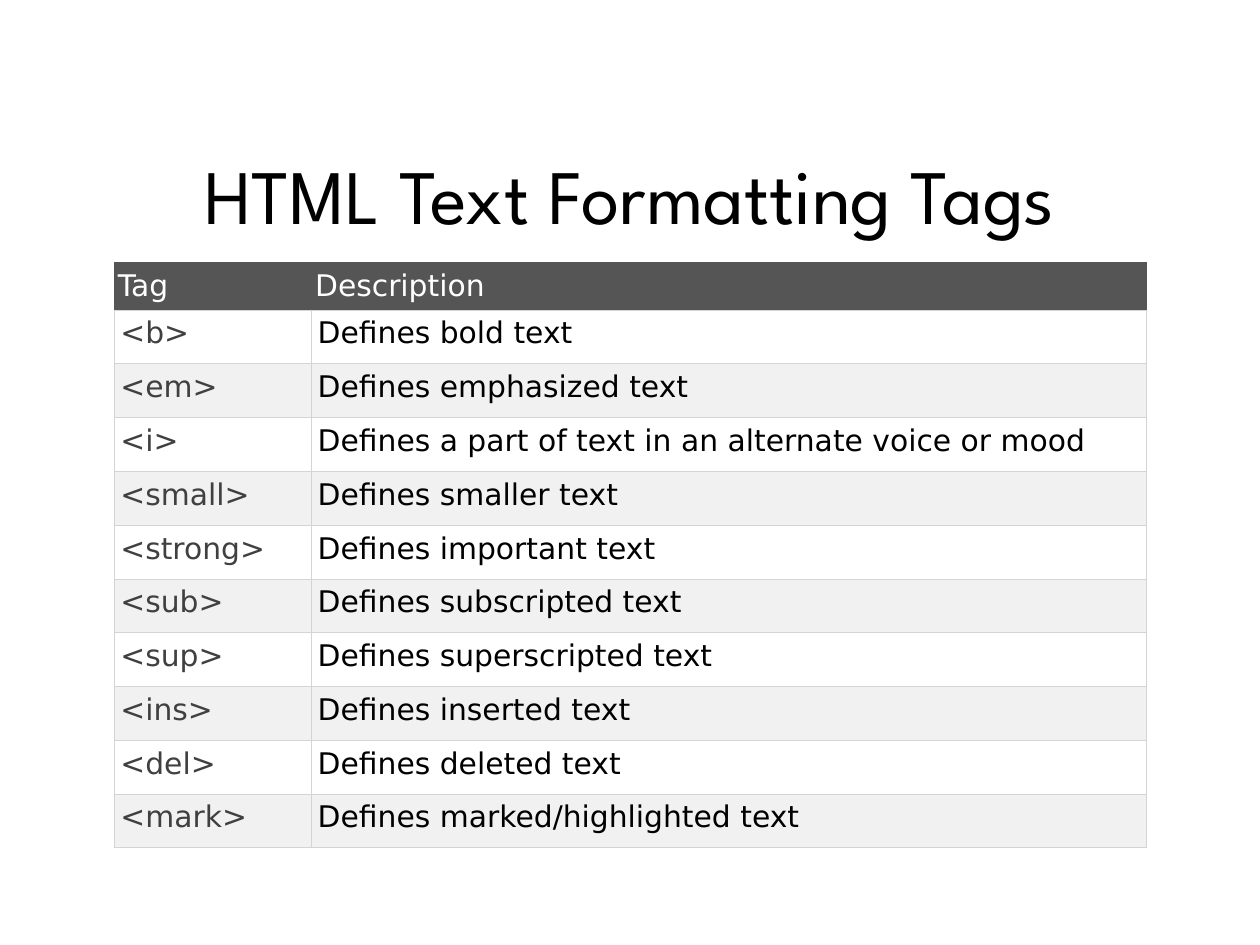
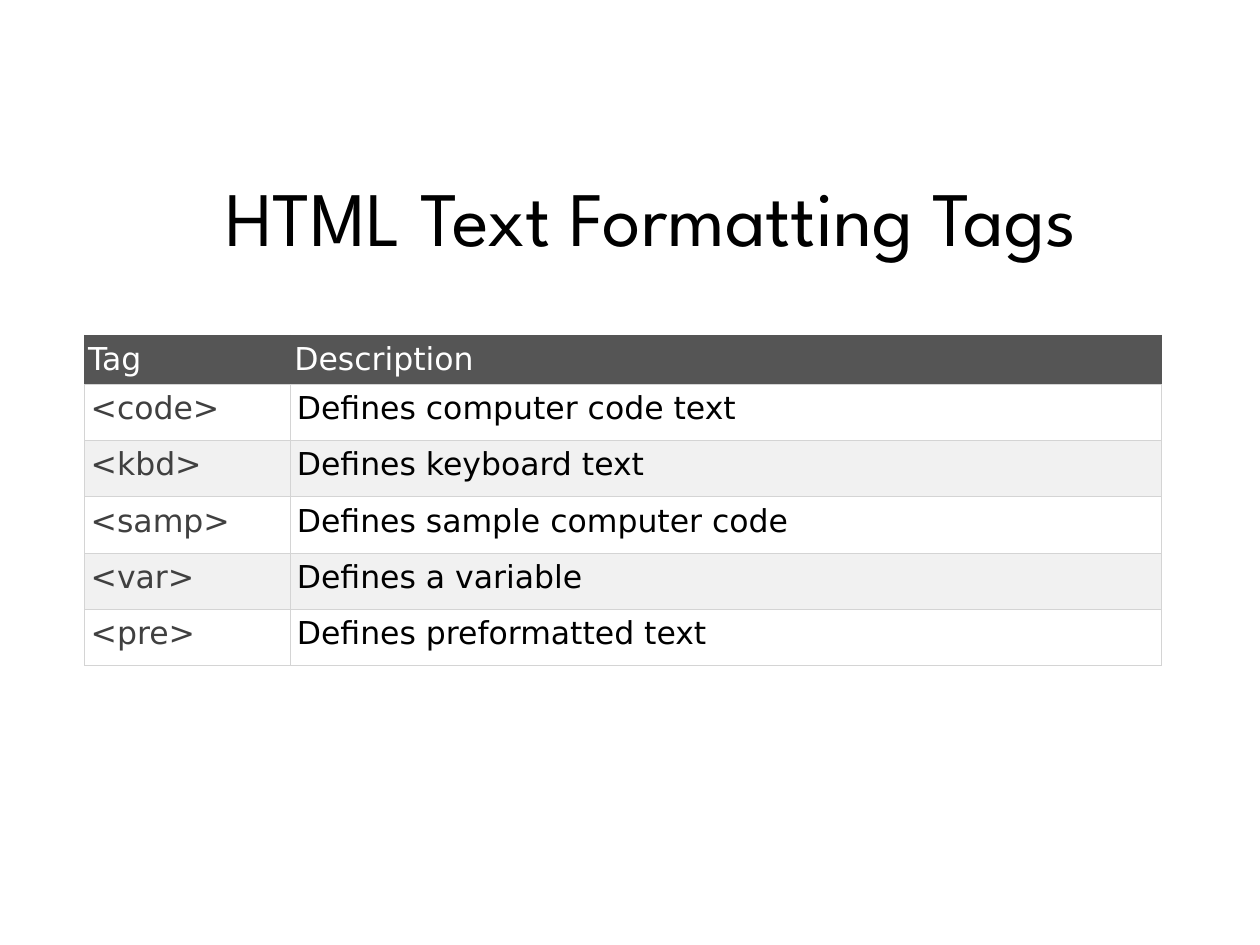
from dataclasses import dataclass

from lxml.etree import SubElement
from pptx import Presentation
from pptx.dml.color import RGBColor
from pptx.enum.text import MSO_ANCHOR, MSO_AUTO_SIZE, PP_ALIGN
from pptx.oxml.ns import qn
from pptx.util import Inches, Pt


@dataclass(frozen=True)
class Theme:
    title_font: str = "League Spartan"
    table_font: str = "DejaVu Sans"
    title_size: int = 44
    border_width: float = 0.34
    white: str = "FFFFFF"
    black: str = "000000"
    header: str = "555555"
    stripe: str = "F1F1F1"
    tag: str = "404040"
    border: str = "D4D4D4"


theme = Theme()

# Grid of 100 columns by 75 rows
deck = Presentation()
deck.slide_width, deck.slide_height = Inches(10), Inches(7.5)
column = deck.slide_width / 100
row = deck.slide_height / 75

TITLE = "HTML Text Formatting Tags"
HEADINGS = ("Tag", "Description")

pages = [
    {
        "title_at": (5, 12.5),
        "table_at": (9.05, 20.8),
        "column_widths": (15.66, 66.24),
        "header_height": 3.8,
        "row_height": 4.27,
        "text_size": 17,
        "tags": [
            ("<b>", "Defines bold text"),
            ("<em>", "Defines emphasized text"),
            ("<i>", "Defines a part of text in an alternate voice or mood"),
            ("<small>", "Defines smaller text"),
            ("<strong>", "Defines important text"),
            ("<sub>", "Defines subscripted text"),
            ("<sup>", "Defines superscripted text"),
            ("<ins>", "Defines inserted text"),
            ("<del>", "Defines deleted text"),
            ("<mark>", "Defines marked/highlighted text"),
        ],
    },
    {
        "title_at": (6.7, 14.2),
        "table_at": (6.7, 26.6),
        "column_widths": (16.36, 69.14),
        "header_height": 3.9,
        "row_height": 4.46,
        "text_size": 18,
        "tags": [
            ("<code>", "Defines computer code text"),
            ("<kbd>", "Defines keyboard text"),
            ("<samp>", "Defines sample computer code"),
            ("<var>", "Defines a variable"),
            ("<pre>", "Defines preformatted text"),
        ],
    },
]


def add_span(para, text, font, size, color):
    span = para.add_run()
    span.text = text
    span.font.name = font
    span.font.size = Pt(size)
    span.font.bold = False
    span.font.color.rgb = RGBColor.from_string(color)


def set_borders(cell, side_colors):
    """Draw the four sides, given as left, right, top and bottom colours."""
    properties = cell._tc.get_or_add_tcPr()
    for position, (side, color) in enumerate(zip("LRTB", side_colors)):
        line = SubElement(properties, qn(f"a:ln{side}"), w=str(Pt(theme.border_width)))
        fill = SubElement(line, qn("a:solidFill"))
        SubElement(fill, qn("a:srgbClr"), val=color)
        properties.insert(position, line)  # borders must precede the cell fill


for page in pages:
    slide = deck.slides.add_slide(deck.slide_layouts[5])

    title = slide.shapes.title
    title_left, title_top = page["title_at"]
    title.left, title.top = int(title_left * column), int(title_top * row)
    title.width, title.height = int(90 * column), int(5.8 * row)
    frame = title.text_frame
    frame.word_wrap = True
    frame.auto_size = MSO_AUTO_SIZE.NONE
    frame.vertical_anchor = MSO_ANCHOR.MIDDLE
    para = frame.paragraphs[0]
    para.alignment = PP_ALIGN.CENTER
    add_span(para, TITLE, theme.title_font, theme.title_size, theme.black)

    entries = [HEADINGS, *page["tags"]]
    heights = [page["header_height"]] + [page["row_height"]] * len(page["tags"])
    table_left, table_top = page["table_at"]
    table = slide.shapes.add_table(
        len(entries), len(HEADINGS),
        int(table_left * column), int(table_top * row),
        int(sum(page["column_widths"]) * column), int(sum(heights) * row),
    ).table
    table.horz_banding = False
    for table_column, width in zip(table.columns, page["column_widths"]):
        table_column.width = int(width * column)

    for row_index, (entry, height) in enumerate(zip(entries, heights)):
        table.rows[row_index].height = int(height * row)
        if row_index == 0:
            background, inset = theme.header, Inches(0.03)
            text_colors = (theme.white, theme.white)
            side_colors = (theme.header, theme.header, theme.header, theme.border)
        else:
            background = theme.white if row_index % 2 else theme.stripe
            inset = Inches(0.05)
            text_colors = (theme.tag, theme.black)
            side_colors = (theme.border,) * 4

        for column_index, (text, color) in enumerate(zip(entry, text_colors)):
            cell = table.cell(row_index, column_index)
            cell.margin_left = cell.margin_right = inset
            cell.margin_top = cell.margin_bottom = Inches(0.05)
            cell.fill.solid()
            cell.fill.fore_color.rgb = RGBColor.from_string(background)
            set_borders(cell, side_colors)
            add_span(cell.text_frame.paragraphs[0], text,
                     theme.table_font, page["text_size"], color)

deck.save("out.pptx")
